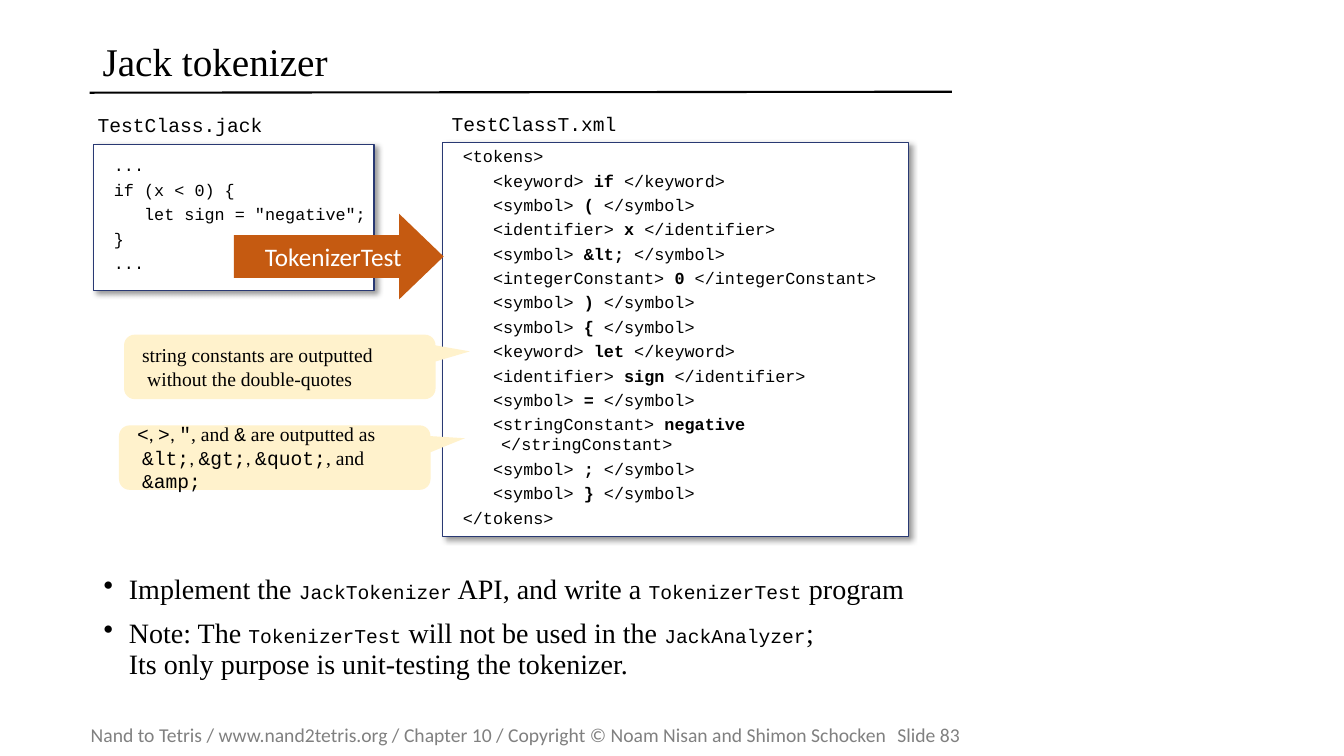
"""Build the Jack tokenizer slide on a grid of tenth-inch cells."""
from lxml.etree import SubElement
from pptx import Presentation
from pptx.dml.color import RGBColor
from pptx.enum.shapes import MSO_CONNECTOR, MSO_SHAPE
from pptx.enum.text import MSO_ANCHOR, PP_ALIGN
from pptx.oxml.ns import qn
from pptx.util import Inches, Pt

CELL = Inches(0.1)
MONO, SERIF, SANS = "Courier New", "Times New Roman", "Calibri"
TOP, MID = MSO_ANCHOR.TOP, MSO_ANCHOR.MIDDLE

deck = Presentation()
deck.slide_width, deck.slide_height = Inches(13.33), Inches(7.5)
slide = deck.slides.add_slide(deck.slide_layouts[6])


def tint(fill, hue):
    fill.solid()
    fill.fore_color.rgb = RGBColor.from_string(hue)


def put(kind, box, lines, name, size, ink="000000", pad=(1, 0.5, 1, 0.5),
        anchor=MID, hang=(0, 0), gap=0, fill=None, alt=(None, None, None)):
    """Place a box of text; parts between bars take the alt font, size and weight."""
    spot = [int(n * CELL) for n in box]
    if kind:
        shape = slide.shapes.add_shape(kind, *spot)
        shape.shadow.inherit = False
        tint(shape.fill, fill)
        shape.line.fill.background()
    else:
        shape = slide.shapes.add_textbox(*spot)
    frame = shape.text_frame
    frame.word_wrap = True
    frame.vertical_anchor = anchor
    (frame.margin_left, frame.margin_top,
     frame.margin_right, frame.margin_bottom) = [int(n * CELL) for n in pad]
    for row, line in enumerate(lines):
        para = frame.add_paragraph() if row else frame.paragraphs[0]
        para.alignment = PP_ALIGN.LEFT
        props = para._p.get_or_add_pPr()
        props.set("marL", str(int(hang[0] * CELL)))
        props.set("indent", str(int(hang[1] * CELL)))
        if row and gap:
            para.space_before = Pt(gap)
        if line.startswith("•"):
            SubElement(props, qn("a:buChar")).set("char", "•")
        if "\t" in line:
            stops = SubElement(props, qn("a:tabLst"))
            SubElement(stops, qn("a:tab"), pos=str(int(106.5 * CELL)), algn="l")
        para.font.name, para.font.size = name, Pt(size)
        tint(para.font.fill, ink)
        for turn, part in enumerate(line.lstrip("•").split("|")):
            for step, text in enumerate(part.split("\n")):
                if step:
                    para.add_line_break()
                run = para.add_run()
                run.text = text
                if turn % 2:
                    run.font.name, run.font.bold = alt[0], alt[2]
                    run.font.size = Pt(alt[1]) if alt[1] else None
                elif text == ", ":
                    run.font.name = SANS
    return shape


put(None, (9, 71.2, 122.5, 3.4),
    ["Nand to Tetris / www.nand2tetris.org / Chapter 10 / "
     "Copyright © Noam Nisan and Shimon Schocken\tSlide 83"],
    SANS, 14, "808080", pad=(0, 0.5, 0, 0.5))

rule = slide.shapes.add_connector(
    MSO_CONNECTOR.STRAIGHT, *[int(n * CELL) for n in (8.9, 9.2, 94.4, 9.1)])
tint(rule.line.fill, "000000")
rule.line.width = Pt(1.5)
SubElement(rule._element.spPr, qn("a:effectLst"))

title = put(None, (9.2, 3.2, 85.3, 6.3), ["Jack tokenizer"], SERIF, 28)
title.text_frame.paragraphs[0].line_spacing = 0.9

code = ["...", "if (x < 0) {", '   let sign = "negative";', "}", "..."]
tokens = [
    ("keyword", "if"), ("symbol", "("), ("identifier", "x"), ("symbol", "&lt;"),
    ("integerConstant", "0"), ("symbol", ")"), ("symbol", "{"),
    ("keyword", "let"), ("identifier", "sign"), ("symbol", "="),
    ("stringConstant", "negative"), ("symbol", ";"), ("symbol", "}"),
]
markup = ["<tokens>", *[f"   <{tag}> |{word}| </{tag}>" for tag, word in tokens],
          "</tokens>"]
panels = [
    ("TestClass.jack", (8.7, 10.7), (9.3, 14.3, 27.8, 14.5), code, (2, 1.1, 0, 2.1), TOP),
    ("TestClassT.xml", (43.8, 10.6), (43.9, 14.1, 46.2, 39.1), markup, (2, 0, 0, 0.5), MID),
]
for label, spot, box, lines, pad, anchor in panels:
    panel = put(MSO_SHAPE.RECTANGLE, box, lines, MONO, 12, pad=pad, anchor=anchor,
                hang=(3.8, -3.8), gap=3, fill="FFFFFF", alt=(MONO, None, True))
    tint(panel.line.fill, "293973")
    panel.line.width = Pt(0.75)
    effect = panel._element.spPr.find(qn("a:effectLst"))
    shade = SubElement(effect, qn("a:outerShdw"), blurRad=str(Pt(4)), dist=str(Pt(3)),
                       dir="2700000", algn="tl", rotWithShape="0")
    black = SubElement(shade, qn("a:srgbClr"), val="000000")
    SubElement(black, qn("a:alpha"), val="40000")
    put(None, (*spot, 26.5, 4.2), [label], MONO, 14, anchor=TOP)

arrow = put(MSO_SHAPE.RIGHT_ARROW, (23.2, 21.2, 20.8, 8.5), ["TokenizerTest"],
            SANS, 18, "FFFFFF", pad=(2.1, 0.5, 1, 0.5), fill="C55A11")
arrow.adjustments[1] = 0.52
arrow.text_frame.word_wrap = False
arrow.text_frame.paragraphs[0].alignment = PP_ALIGN.CENTER

tasks = put(None, (9.3, 56.6, 83.1, 15.2), [
    "•Implement the |JackTokenizer| API, and write a |TokenizerTest| program",
    "•Note: The |TokenizerTest| will not be used in the |JackAnalyzer|;\n"
    "Its only purpose is unit-testing the tokenizer.",
], SERIF, 20, anchor=TOP, hang=(2.5, -2.5), gap=10, alt=(MONO, 14, None))
for para in tasks.text_frame.paragraphs:
    para.line_spacing = 0.9

notes = [
    (12.3, 33.2, -0.24, "string constants are outputted without the double-quotes"),
    (11.8, 42.2, -0.3, '|<|, |>|, |"|, and |&| are outputted as '
     "|&lt;|, |&gt;|, |&quot;|, and |&amp;|"),
]
for left, top, tip, text in notes:
    note = put(MSO_SHAPE.ROUNDED_RECTANGULAR_CALLOUT, (left, top, 30.9, 6.4),
               [text], SERIF, 14, hang=(1, -0.5), fill="FFF2CC", alt=(MONO, None, None))
    note.adjustments[0], note.adjustments[1] = 0.61, tip

deck.save("out.pptx")
